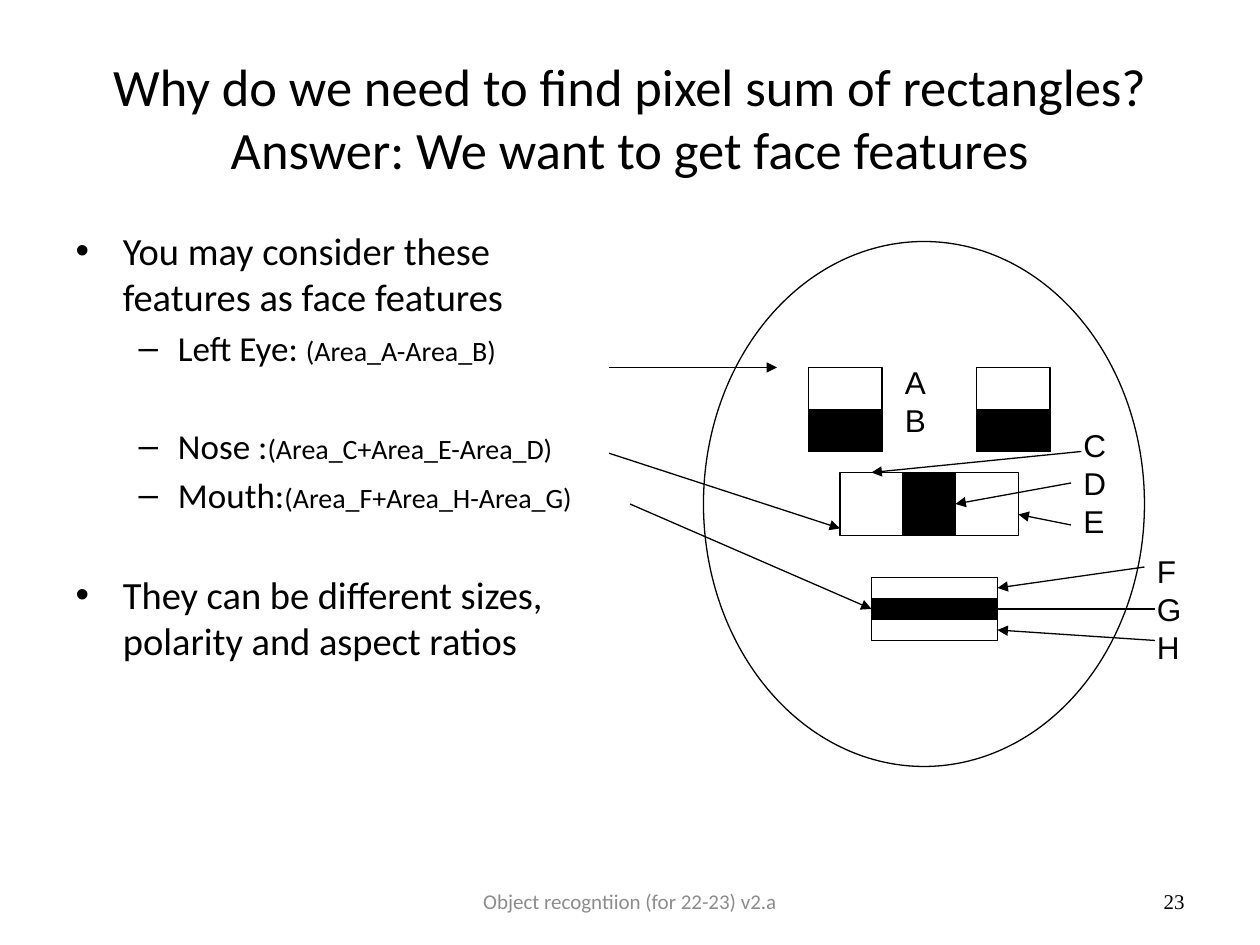
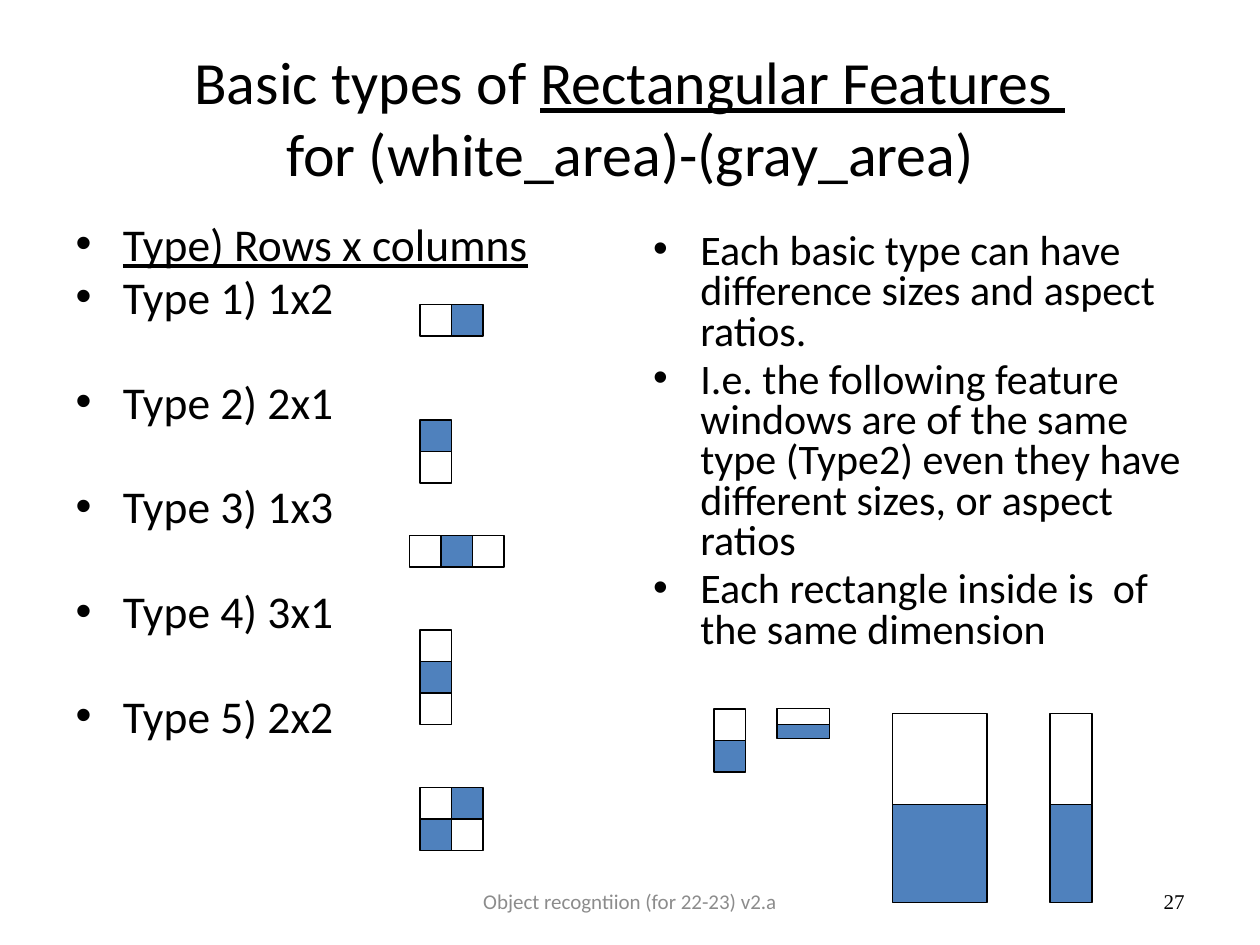
"""Builds two slides on rectangular features for face detection."""
from collections import namedtuple
from copy import deepcopy
from dataclasses import dataclass

from lxml import etree
from pptx import Presentation
from pptx.dml.color import RGBColor
from pptx.enum.shapes import MSO_CONNECTOR, MSO_SHAPE
from pptx.enum.text import MSO_ANCHOR, MSO_AUTO_SIZE, PP_ALIGN
from pptx.oxml.ns import qn
from pptx.util import Pt

RECTANGLE, ELLIPSE = MSO_SHAPE.RECTANGLE, MSO_SHAPE.OVAL
STRAIGHT = MSO_CONNECTOR.STRAIGHT
TOP, MIDDLE = MSO_ANCHOR.TOP, MSO_ANCHOR.MIDDLE
LEFT, CENTER, RIGHT = PP_ALIGN.LEFT, PP_ALIGN.CENTER, PP_ALIGN.RIGHT
FIXED = MSO_AUTO_SIZE.NONE
LEFT_SIDE, RIGHT_SIDE = 1, 3

Box = namedtuple("Box", "left top width height")
Item = namedtuple("Item", "spans level before")


@dataclass(frozen=True)
class Theme:
    """Colours, fonts and sizes shared by the slides."""
    ink: RGBColor = RGBColor(0, 0, 0)
    muted: RGBColor = RGBColor(0x8C, 0x8C, 0x8C)
    accent: RGBColor = RGBColor(0x4F, 0x81, 0xBD)
    text_font: str = "Calibri"
    label_font: str = "Arial"
    number_font: str = "Times New Roman"
    footer_size: float = 12
    label_size: float = 18
    formula_size: float = 16
    outline: float = 0.75


THEME = Theme()
TITLE_BOX = Box(36, 21.6, 648, 90)
LEFT_BOX = Box(36, 126, 318, 356)
RIGHT_BOX = Box(366, 129.6, 318, 266)
FOOTER_BOX = Box(246, 500.4, 228, 29)
NUMBER_BOX = Box(516, 500.4, 168, 29)
FACE_BOX = Box(402, 138, 252, 300)
FOOTER = "Object recogntiion (for 22-23) v2.a"


def set_all(target, formats):
    """Set each named attribute of the target."""
    for name, value in formats.items():
        setattr(target, name, value)


def place(shape, box):
    """Move a shape to a box given in points."""
    set_all(shape, {name: Pt(value) for name, value in box._asdict().items()})


def write(para, words, size, font=THEME.text_font, color=THEME.ink, underline=None):
    """Add one formatted span to a paragraph."""
    span = para.add_run()
    span.text = words
    set_all(span.font, {"size": Pt(size), "name": font, "underline": underline})
    span.font.color.rgb = color
    return span


def add_text(page, box, lines, size, font, color=THEME.ink, align=LEFT, anchor=TOP):
    """Add a text box with one paragraph for each line."""
    shape = page.shapes.add_textbox(*map(Pt, box))
    frame = shape.text_frame
    set_all(frame, {"word_wrap": True, "auto_size": FIXED, "vertical_anchor": anchor})
    for index, line in enumerate(lines):
        para = frame.add_paragraph() if index else frame.paragraphs[0]
        para.alignment = align
        write(para, line, size, font, color)


def fill_title(page, lines, size):
    """Fill the title; each line is a list of (words, underline) spans."""
    place(page.shapes.title, TITLE_BOX)
    frame = page.shapes.title.text_frame
    set_all(frame, {"auto_size": FIXED, "vertical_anchor": MIDDLE})
    para = frame.paragraphs[0]
    para.alignment = CENTER
    for index, line in enumerate(lines):
        if index:
            para.add_line_break()
        for words, underline in line:
            span = write(para, words, size, underline=underline)
    for line_break in para._p.findall(qn("a:br")):
        line_break.insert(0, deepcopy(span.font._element))


def fill_list(holder, box, items, spacing=None):
    """Fill a body placeholder with bulleted items."""
    place(holder, box)
    frame = holder.text_frame
    frame.auto_size = FIXED
    for index, item in enumerate(items):
        para = frame.add_paragraph() if index else frame.paragraphs[0]
        set_all(para, {"level": item.level, "line_spacing": spacing,
                       "space_before": Pt(item.before)})
        for words, size, underline in item.spans:
            write(para, words, size, underline=underline)


def start_page(deck, layout, title, title_size, number):
    """Add a slide with its title, footer and number."""
    page = deck.slides.add_slide(deck.slide_layouts.get_by_name(layout))
    fill_title(page, title, title_size)
    add_text(page, FOOTER_BOX, [FOOTER], THEME.footer_size, THEME.text_font,
             THEME.muted, CENTER, MIDDLE)
    add_text(page, NUMBER_BOX, [number], THEME.footer_size, THEME.number_font,
             align=RIGHT, anchor=MIDDLE)
    return page


def add_outline(shapes, box, color=None, kind=RECTANGLE):
    """Add an outlined shape, filled when a colour is given."""
    shape = shapes.add_shape(kind, *map(Pt, box))
    shape.shadow.inherit = False
    if color is None:
        shape.fill.background()
    else:
        shape.fill.solid()
        shape.fill.fore_color.rgb = color
    shape.line.color.rgb = THEME.ink
    shape.line.width = Pt(THEME.outline)
    return shape


def add_arrow(page, box, start, end):
    """Add an arrow between two points relative to the box."""
    points = [Pt(origin + offset) for point in (start, end)
              for origin, offset in zip(box, point)]
    arrow = page.shapes.add_connector(STRAIGHT, *points)
    arrow.line.color.rgb = THEME.ink
    arrow.line.width = Pt(THEME.outline)
    etree.SubElement(arrow.line._get_or_add_ln(), qn("a:tailEnd"), type="triangle")
    etree.SubElement(arrow._element.spPr, qn("a:effectLst"))
    return arrow


def draw_face(page, box):
    """Draw the face with its eye, nose and mouth features."""
    def inside(left, top, width, height):
        return Box(box.left + left, box.top + top, width, height)

    add_outline(page.shapes, box, kind=ELLIPSE)
    features = {
        "left eye": ((60, 72, 42, 48), (60, 96, 42, 24)),
        "right eye": ((156, 72, 42, 48), (156, 96, 42, 24)),
        "nose": ((78, 132, 102, 36), (114, 132, 30, 36)),
        "mouth": ((96, 192, 72, 36), (96, 204, 72, 12)),
    }
    bars = {}
    for name, (whole, dark) in features.items():
        add_outline(page.shapes, inside(*whole))
        bars[name] = add_outline(page.shapes, inside(*dark), THEME.ink)

    for letters, left, top in (("AB", 108, 66), ("CDE", 210, 102), ("FGH", 252, 174)):
        add_text(page, inside(left, top, 29, 22 * len(letters) + 7), letters,
                 THEME.label_size, THEME.label_font)

    arrows = {
        "left eye": ((-54, 72), (42, 72)),
        "nose": ((-54, 121), (78, 164)),
        "mouth": ((-42, 150), (96, 210)),
        "C": ((216, 120), (96, 132)),
        "D": ((210, 138), (144, 150)),
        "E": ((210, 162), (180, 156)),
        "F": ((252, 186), (168, 198)),
        "G": ((258, 210), (150, 210)),
        "H": ((258, 228), (168, 222)),
    }
    drawn = {name: add_arrow(page, box, *ends) for name, ends in arrows.items()}
    drawn["mouth"].end_connect(bars["mouth"], LEFT_SIDE)
    drawn["D"].end_connect(bars["nose"], RIGHT_SIDE)


def draw_pattern(shapes, left, top, rows, width, heights):
    """Draw rows of cells, where G is a gray cell and W a white one."""
    for row, height in zip(rows, heights):
        for column, cell in enumerate(row):
            add_outline(shapes, Box(left + column * width, top, width, height),
                        THEME.accent if cell == "G" else None)
        top += height


def draw_types(page, box, cell=18):
    """Draw the five basic types beside their list."""
    patterns = (
        (204, 48, ("WG",)),
        (204, 114, ("G", "W")),
        (198, 180, ("WGW",)),
        (204, 234, ("W", "G", "W")),
        (204, 324, ("WG", "GW")),
    )
    for left, top, rows in patterns:
        group = page.shapes.add_group_shape()
        draw_pattern(group.shapes, box.left + left, box.top + top, rows, cell,
                     [cell] * len(rows))


def draw_samples(page, box):
    """Draw two-row features of several sizes below the box."""
    bottom = box.top + box.height
    samples = ((42, 9.6, 18, (18, 18)), (78, 9.3, 30, (9, 8)),
               (144, 12, 54, (52, 56)), (234, 12, 24, (52, 56)))
    for left, gap, width, heights in samples:
        draw_pattern(page.shapes, box.left + left, bottom + gap, "WG", width, heights)


def build_face_page(deck):
    """Build the slide on face features."""
    title = [[("Why do we need to find pixel sum of rectangles?", None)],
             [("Answer: We want to get face features", None)]]
    page = start_page(deck, "Title and Content", title, 30, "23")
    main, detail = 22, 20

    def feature(name, formula, before):
        return Item([(name, detail, None), (formula, THEME.formula_size, None)], 1, before)

    fill_list(page.placeholders[1], LEFT_BOX, [
        Item([("You may consider these features as face features", main, None)], 0, 0),
        feature("Left Eye: ", "(Area_A-Area_B)", 4),
        feature("Nose :", "(Area_C+Area_E-Area_D)", 32),
        feature("Mouth:", "(Area_F+Area_H-Area_G)", 4),
        Item([("They can be different sizes, polarity and aspect ratios", main, None)], 0, 32),
    ])
    draw_face(page, FACE_BOX)


def build_types_page(deck):
    """Build the slide on the basic feature types."""
    title = [[("Basic types of ", None), ("Rectangular Features ", True)],
             [("for (white_area)-(gray_area)", None)]]
    page = start_page(deck, "Two Content", title, 34.2, "27")
    main, note, spacing = 26, 24, 0.8
    types = [Item([("Type) Rows x columns", main, True)], 0, 0)]
    for index, size in enumerate(("1x2", "2x1", "1x3", "3x1", "2x2")):
        types.append(Item([(f"Type {index + 1}) {size}", main, None)], 0,
                          35 if index else 5))
    fill_list(page.placeholders[1], LEFT_BOX, types, spacing)
    notes = (
        "Each basic type can have difference sizes and aspect ratios.",
        "I.e. the following feature windows are of the same type (Type2) "
        "even they have different sizes, or aspect ratios",
        "Each rectangle inside is  of the same dimension",
    )
    fill_list(page.placeholders[2], RIGHT_BOX,
              [Item([(words, note, None)], 0, 4.5 if index else 0)
               for index, words in enumerate(notes)], spacing)
    draw_types(page, LEFT_BOX)
    draw_samples(page, RIGHT_BOX)


def main():
    """Build and save the deck."""
    deck = Presentation()
    set_all(deck, {"slide_width": Pt(720), "slide_height": Pt(540)})
    build_face_page(deck)
    build_types_page(deck)
    deck.save("out.pptx")


if __name__ == "__main__":
    main()
